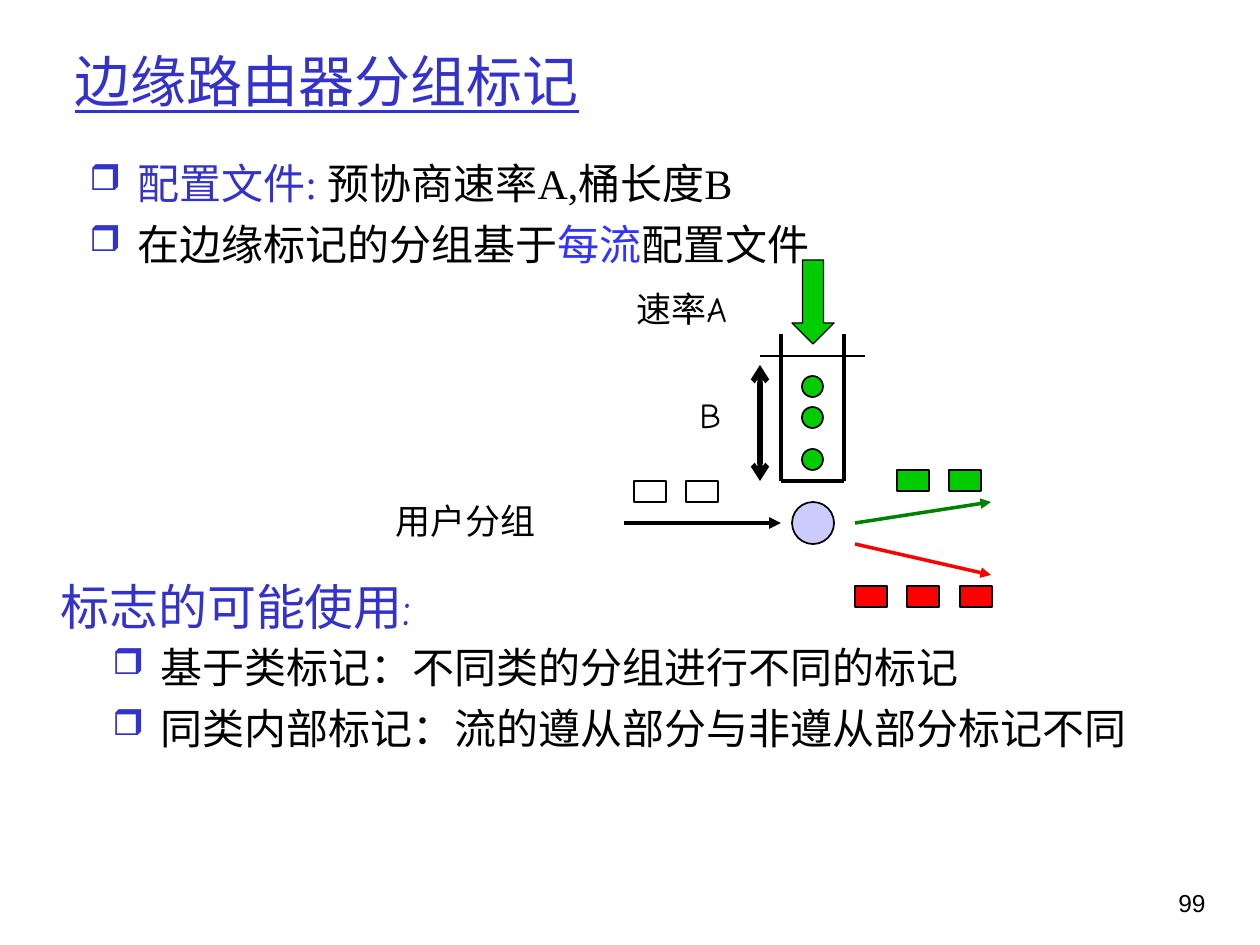
import pptx
import pptx.util
import pptx.dml.color
import pptx.enum.shapes
import pptx.enum.text
import pptx.oxml.ns
import lxml.etree

PX = 914400 / 126
INK = {
    "black": "000000", "white": "FFFFFF", "blue": "3333CC", "bright": "3333FF",
    "lilac": "CCCCFF", "lime": "00CC00", "green": "008000", "red": "FF0000",
}
SERIF, HAND, SANS = "Times New Roman", "Comic Neue", "Arial"
SHAPE = pptx.enum.shapes.MSO_SHAPE
ALIGN = pptx.enum.text.PP_ALIGN


def emu(*vals):
    return [pptx.util.Emu(round(v * PX)) for v in vals]


def rgb(name):
    return pptx.dml.color.RGBColor.from_string(INK[name])


def node(base, tag, **attrs):
    return lxml.etree.SubElement(base, pptx.oxml.ns.qn(tag), attrs)


class Deck:
    def __init__(self):
        self.prs = pptx.Presentation()
        self.prs.slide_width, self.prs.slide_height = emu(1260, 945)
        self.slide = self.prs.slides.add_slide(self.prs.slide_layouts[5])
        self.shapes = self.slide.shapes

    def style(self, run, size, face, color):
        run.font.size = pptx.util.Pt(size)
        run.font.name = face
        run.font.color.rgb = rgb(color)

    def title(self, text, box):
        head = self.shapes.title
        head.left, head.top, head.width, head.height = emu(*box)
        frame = head.text_frame
        frame.text = text
        frame.auto_size = pptx.enum.text.MSO_AUTO_SIZE.NONE
        frame.vertical_anchor = pptx.enum.text.MSO_ANCHOR.MIDDLE
        para = frame.paragraphs[0]
        para.alignment = ALIGN.LEFT
        self.style(para.runs[0], 32, SERIF, "blue")
        para.runs[0].font.underline = True

    def frame(self, box):
        frame = self.shapes.add_textbox(*emu(*box)).text_frame
        frame.word_wrap = True
        return frame

    def text(self, text, box, size=20, face=HAND, color="black", align=ALIGN.LEFT):
        para = self.frame(box).paragraphs[0]
        para.text = text
        para.alignment = align
        self.style(para.runs[0], size, face, color)

    def bullets(self, items, box):
        frame = self.frame(box)
        for i, parts in enumerate(items):
            para = frame.add_paragraph() if i else frame.paragraphs[0]
            props = para._p.get_or_add_pPr()
            indent = emu(48)[0]
            props.set("marL", str(indent))
            props.set("indent", str(-indent))
            node(node(props, "a:buClr"), "a:srgbClr", val=INK["blue"])
            node(props, "a:buSzPct", val="85000")
            node(props, "a:buChar", char="❒")
            if i:
                para.space_before = pptx.util.Pt(6)
            for words, color in parts:
                run = para.add_run()
                run.text = words
                self.style(run, 24, SERIF, color)

    def shape(self, kind, box, fill, width=1):
        item = self.shapes.add_shape(kind, *emu(*box))
        item.shadow.inherit = False
        item.fill.solid()
        item.fill.fore_color.rgb = rgb(fill)
        item.line.color.rgb = rgb("black")
        item.line.width = pptx.util.Pt(width)

    def packets(self, left, top, count, fill):
        for i in range(count):
            self.shape(SHAPE.RECTANGLE, (left + round(52.5 * i), top, 32, 21), fill)

    def line(self, start, end, width, color="black", head=None, tail=None):
        kind = pptx.enum.shapes.MSO_CONNECTOR.STRAIGHT
        item = self.shapes.add_connector(kind, *emu(*start, *end))
        item.line.color.rgb = rgb(color)
        item.line.width = pptx.util.Pt(width)
        stroke = item.line._get_or_add_ln()
        for tag, tip in (("a:headEnd", head), ("a:tailEnd", tail)):
            if tip:
                node(stroke, tag, type=tip)
        node(item._element.spPr, "a:effectLst")


def main():
    deck = Deck()
    deck.title("边缘路由器分组标记", (62, 33, 1071, 95))
    deck.bullets([
        [("基于类标记：不同类的分组进行不同的标记", "black")],
        [("同类内部标记：流的遵从部分与非遵从部分标记不同", "black")],
    ], (100, 635, 1134, 252))
    deck.bullets([
        [("配置文件: ", "blue"), ("预协商速率A,桶长度B", "black")],
        [("在边缘标记的分组基于", "black"), ("每流", "bright"), ("配置文件", "black")],
    ], (77, 151, 1102, 126))
    deck.text("标志的可能使用:", (48, 570, 655, 72), size=28, color="blue")
    deck.text("用户分组", (383, 493, 294, 55))

    deck.packets(897, 470, 2, "lime")
    deck.packets(855, 586, 3, "red")
    deck.packets(634, 481, 2, "white")

    left, right, rim, mid, base = 781, 844, 334, 387, 481
    for side in (left, right):
        deck.line((side, mid), (side, base), 2.25)
        deck.line((side, mid), (side, rim), 2)
    deck.line((left, base), (right, base), 2.25)
    for top in (376, 407, 449):
        deck.shape(SHAPE.OVAL, (802, top, 21, 21), "lime")

    deck.shape(SHAPE.OVAL, (792, 502, 42, 42), "lilac")
    deck.line((624, 523), (left, 523), 2.25, tail="triangle")
    deck.text("速率A", (624, 281, 158, 55))
    deck.line((855, 544), (991, 575), 2, "red", tail="triangle")
    deck.line((855, 523), (991, 502), 2, "green", tail="triangle")
    deck.shape(SHAPE.DOWN_ARROW, (792, 260, 42, 84), "lime", 0.75)
    deck.line((760, 356), (865, 356), 0.75)
    deck.text("B", (687, 387, 48, 55))
    deck.line((760, 365), (760, base), 3, head="arrow", tail="arrow")
    deck.text("99", (1125, 882, 93, 63), size=14, face=SANS, align=ALIGN.RIGHT)
    deck.prs.save("out.pptx")


if __name__ == "__main__":
    main()
